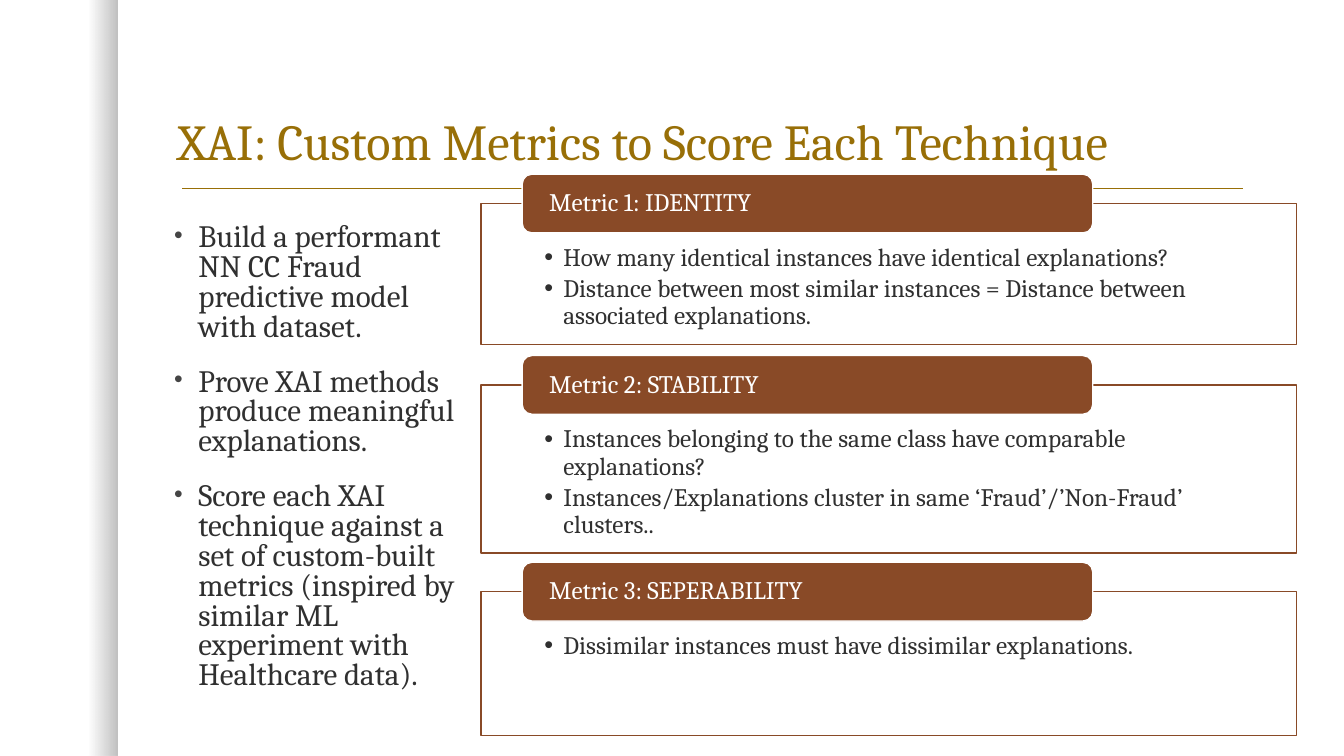
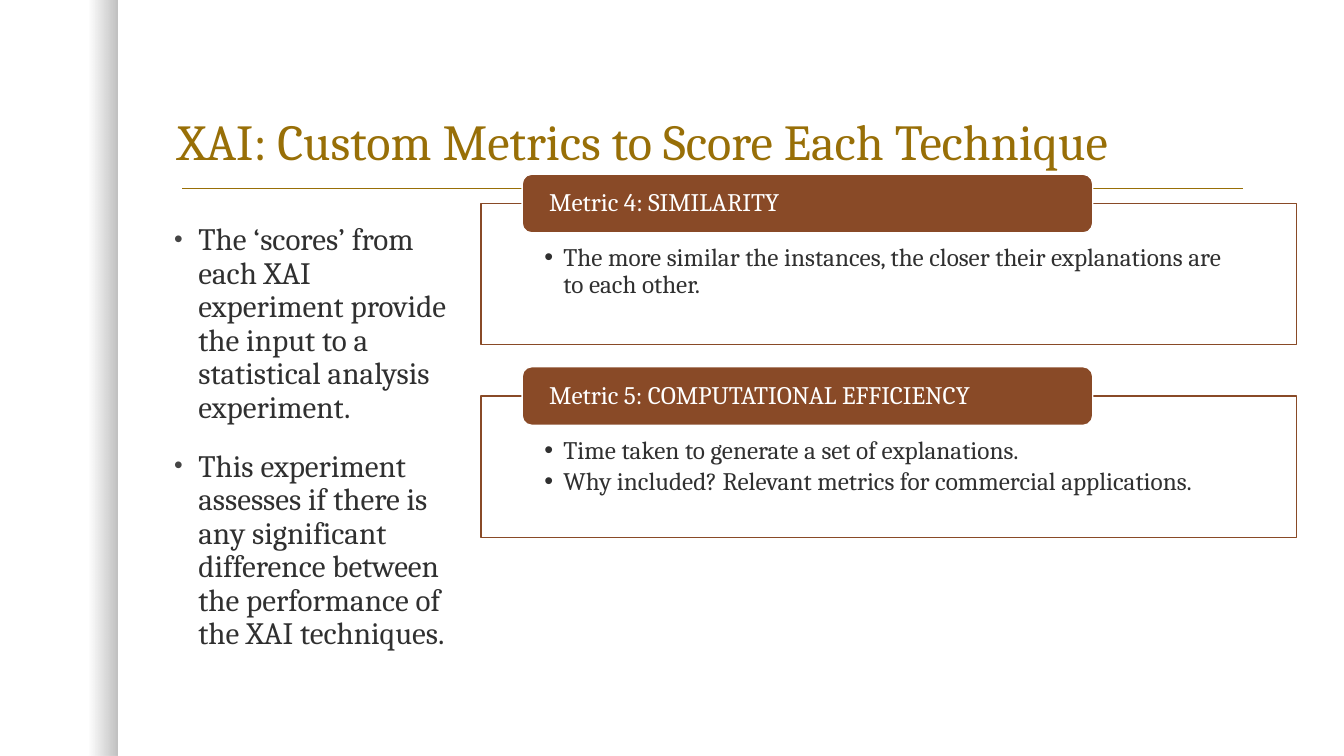
from pptx import Presentation
from pptx.dml.color import RGBColor
from pptx.enum.shapes import MSO_CONNECTOR as Connector, MSO_SHAPE as Shape
from pptx.enum.text import MSO_ANCHOR as Anchor, PP_ALIGN as Align
from pptx.oxml.ns import qn
from pptx.util import Cm, Pt
from lxml.etree import SubElement

FONT = "Cambria"
GOLD, BROWN, INK, GREY, WHITE, BLACK = "986F07", "894A27", "303030", "454545", "FFFFFF", "000000"
WIDTH, HEIGHT = 33.87, 19.05
TITLE = "XAI: Custom Metrics to Score Each Technique"
TITLE_BOX = (4.22, 1.07, 27.31, 3.38)
BODY_BOX = (4.14, 5.51, 7.59, 13)
CARD_LEFT, CARD_WIDTH = 12.12, 20.55
TAB_WIDTH, TAB_HEIGHT = 14.38, 1.48

SLIDES = [
    {
        "points": [
            "Build a performant NN CC Fraud predictive model with dataset.",
            "Prove XAI methods produce meaningful explanations.",
            "Score each XAI technique against a set of custom-built metrics "
            "(inspired by similar ML experiment with Healthcare data).",
        ],
        "spacing": 0.8,
        "cards": [
            (5.13, 3.56, "Metric 1: IDENTITY", [
                "How many identical instances have identical explanations?",
                "Distance between most similar instances = Distance between associated explanations.",
            ]),
            (9.7, 4.24, "Metric 2: STABILITY", [
                "Instances belonging to the same class have comparable explanations?",
                "Instances/Explanations cluster in same ‘Fraud’/’Non-Fraud’ clusters..",
            ]),
            (14.91, 3.63, "Metric 3: SEPERABILITY", [
                "Dissimilar instances must have dissimilar explanations.",
            ]),
        ],
    },
    {
        "points": [
            "The ‘scores’ from each XAI experiment provide the input to a statistical analysis experiment.",
            "This experiment assesses if there is any significant difference between "
            "the performance of the XAI techniques.",
        ],
        "spacing": 0.9,
        "cards": [
            (5.13, 3.56, "Metric 4: SIMILARITY", [
                "The more similar the instances, the closer their explanations are to each other.",
            ]),
            (9.98, 3.56, "Metric 5: COMPUTATIONAL EFFICIENCY", [
                "Time taken to generate a set of explanations.",
                "Why included? Relevant metrics for commercial applications.",
            ]),
        ],
    },
]


def rgb(value):
    """Turn a hex string into a colour."""
    return RGBColor.from_string(value)


def set_alpha(color_element, percent):
    """Give a colour element an opacity in percent."""
    SubElement(color_element, qn("a:alpha"), val=str(percent * 1000))


def add_bullet(para, indent, color, percent):
    """Hang a round bullet in front of a paragraph."""
    props = para._p.get_or_add_pPr()
    props.set("marL", str(Cm(indent)))
    props.set("indent", str(-Cm(indent)))
    SubElement(SubElement(props, qn("a:buClr")), qn("a:srgbClr"), val=color)
    SubElement(props, qn("a:buSzPct"), val=str(percent * 1000))
    SubElement(props, qn("a:buFont"), typeface="Arial")
    SubElement(props, qn("a:buChar"), char="•")


def write(box, lines, size, color, spacing=0.9, gap=0, anchor=Anchor.TOP, insets=None, bullet=None):
    """Fill a box with paragraphs of one style."""
    frame = box.text_frame
    frame.word_wrap = True
    frame.vertical_anchor = anchor
    if insets:
        (frame.margin_left, frame.margin_top,
         frame.margin_right, frame.margin_bottom) = map(Cm, insets)
    for index, line in enumerate(lines):
        para = frame.add_paragraph() if index else frame.paragraphs[0]
        para.text = line
        para.alignment = Align.LEFT
        para.line_spacing = spacing
        if index:
            para.space_before = Pt(gap)
        if bullet:
            add_bullet(para, *bullet)
        font = para.font
        font.name, font.size, font.color.rgb = FONT, Pt(size), rgb(color)


def add_block(page, kind, bounds, fill, line):
    """Draw a flat filled shape with a thin outline."""
    block = page.shapes.add_shape(kind, *map(Cm, bounds))
    block.shadow.inherit = False
    block.fill.solid()
    block.fill.fore_color.rgb = rgb(fill)
    block.line.color.rgb = rgb(line)
    block.line.width = Pt(1)
    return block


def add_edge(page):
    """Draw the shaded left edge of the page."""
    edge = page.shapes.add_shape(Shape.RECTANGLE, 0, 0, Cm(2.95), Cm(HEIGHT))
    edge.shadow.inherit = False
    edge.line.fill.background()
    edge.fill.gradient()
    edge.fill.gradient_angle = 0
    for stop, position in zip(edge.fill.gradient_stops, (0.75, 1)):
        stop.position = position
        stop.color.rgb = rgb(BLACK)
    for color, percent in zip(edge._element.spPr.iter(qn("a:srgbClr")), (0, 25)):
        set_alpha(color, percent)


def add_heading(page, title):
    """Write the title and draw the rule beneath it."""
    rule = page.shapes.add_connector(Connector.STRAIGHT, Cm(4.6), Cm(4.75), Cm(31.32), Cm(4.75))
    rule.line.color.rgb = rgb(GOLD)
    rule.line.width = Pt(1)
    SubElement(rule._element.spPr, qn("a:effectLst"))
    box = page.shapes.add_textbox(*map(Cm, TITLE_BOX))
    write(box, [title], 36, GOLD, anchor=Anchor.BOTTOM)


def add_points(page, points, spacing):
    """Write the bulleted column on the left."""
    box = page.shapes.add_textbox(*map(Cm, BODY_BOX))
    write(box, points, 22.2, INK, spacing, gap=18, bullet=(0.61, GREY, 80))


def add_card(page, top, height, name, details):
    """Draw a metric card with its name tab over the top edge."""
    card = add_block(page, Shape.RECTANGLE, (CARD_LEFT, top, CARD_WIDTH, height), WHITE, BROWN)
    set_alpha(card._element.spPr.find(qn("a:solidFill"))[0], 90)
    write(card, details, 18, INK, gap=2.7, insets=(1.6, 1.04, 1.6, 0.36), bullet=(0.48, INK, 100))
    tab = add_block(page, Shape.ROUNDED_RECTANGLE,
                    (CARD_LEFT + 1.04, top - TAB_HEIGHT / 2, TAB_WIDTH, TAB_HEIGHT), BROWN, WHITE)
    write(tab, [name], 18, WHITE, anchor=Anchor.MIDDLE, insets=(0.61, 0, 0.61, 0))


def add_metrics_page(deck, points, spacing, cards):
    """Build one slide of points and metric cards."""
    page = deck.slides.add_slide(deck.slide_layouts[6])
    add_edge(page)
    add_heading(page, TITLE)
    add_points(page, points, spacing)
    for card in cards:
        add_card(page, *card)


def main():
    """Build and save the deck."""
    deck = Presentation()
    deck.slide_width, deck.slide_height = Cm(WIDTH), Cm(HEIGHT)
    for content in SLIDES:
        add_metrics_page(deck, **content)
    deck.save("out.pptx")


if __name__ == "__main__":
    main()
